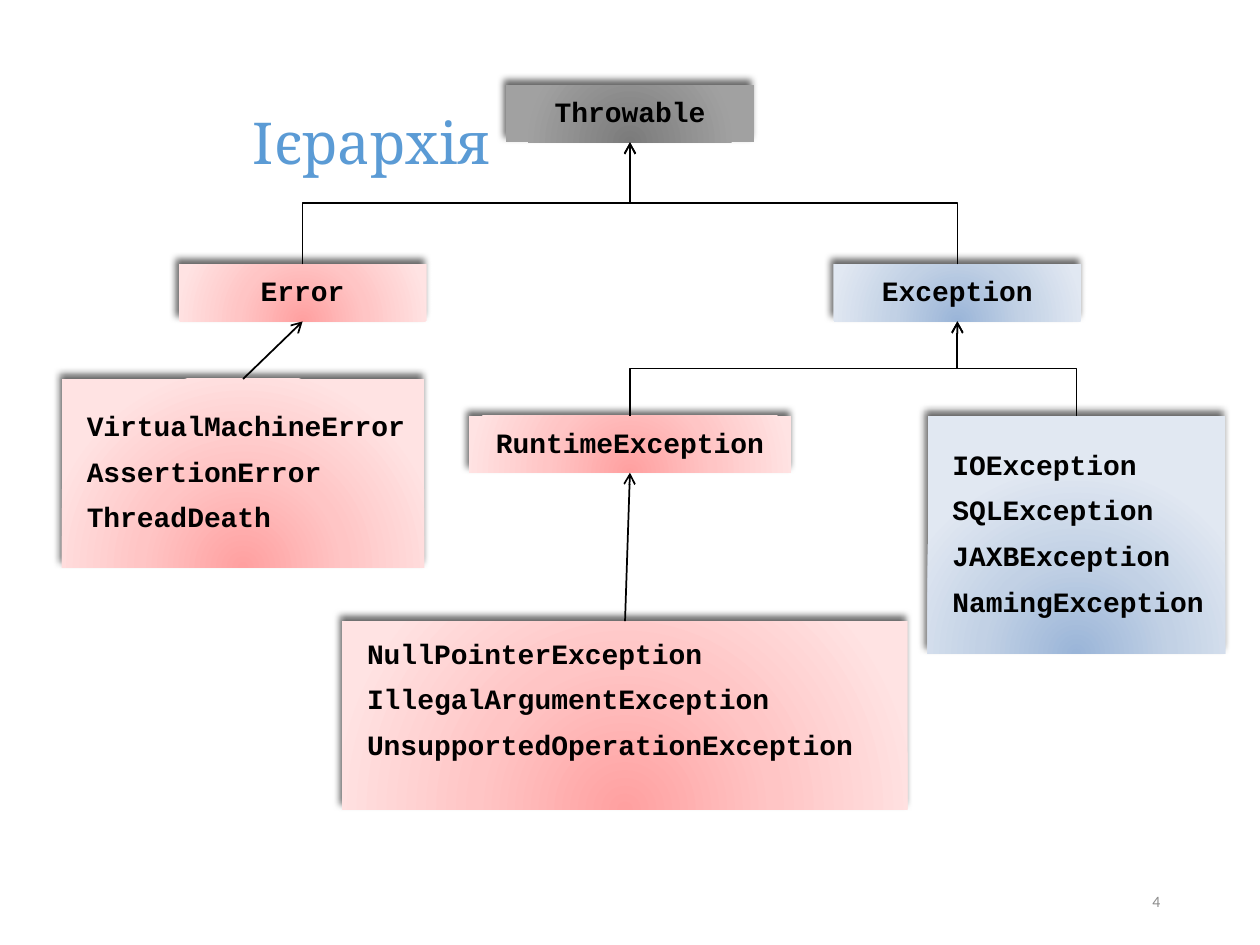
"""Draw the hierarchy of throwable classes as a tree of boxes."""
from dataclasses import dataclass

from lxml import etree
from pptx import Presentation
from pptx import util as u
from pptx.dml import color
from pptx.enum import shapes, text
from pptx.oxml import ns

Cm, Pt = u.Cm, u.Pt
LEFT, CENTER, RIGHT = text.PP_ALIGN.LEFT, text.PP_ALIGN.CENTER, text.PP_ALIGN.RIGHT


@dataclass(frozen=True)
class Theme:
    """Colours, fonts and type sizes of the slide."""
    ink: str = "000000"
    title: str = "5B9BD5"
    number: str = "8C8C8C"
    gray: tuple = ((0, "7B7B7B"), (80, "A0A0A0"), (100, "A1A1A1"))
    red: tuple = ((0, "FFA0A0"), (50, "FFC5C5"), (100, "FFE3E3"))
    blue: tuple = ((0, "9AB5D8"), (50, "C2D1E5"), (100, "E1E8F2"))
    title_font: str = "Cambria"
    number_font: str = "Calibri"
    code_font: str = "Courier New"
    title_size: float = 33
    number_size: float = 9
    code_size: float = 16
    line_width: float = 1


T = Theme()


def add_xml(parent, body):
    """Append a drawing element written as XML."""
    parent.append(etree.fromstring(body.replace(" ", f" {ns.nsdecls('a')} ", 1)))


def style(p, font, size, rgb, bold=False, align=LEFT):
    """Format a paragraph and its runs."""
    p.alignment = align
    for r in p.runs:
        r.font.name, r.font.size, r.font.bold = font, Pt(size), bold
        r.font.color.rgb = color.RGBColor.from_string(rgb)


def add_label(s, words, place, font, size, rgb, align=LEFT):
    """Add one line of text in a box of its own."""
    tf = s.shapes.add_textbox(*map(Cm, place)).text_frame
    tf.word_wrap = True
    tf.vertical_anchor = text.MSO_ANCHOR.MIDDLE
    tf.text = words
    style(tf.paragraphs[0], font, size, rgb, align=align)


def paint(sp, stops):
    """Give a box a glow from its bottom edge and a soft shadow."""
    gs = "".join(f'<a:gs pos="{pos * 1000}"><a:srgbClr val="{rgb}"/></a:gs>'
                 for pos, rgb in stops)
    spPr = sp.element.spPr
    add_xml(spPr, f'<a:gradFill rotWithShape="1"><a:gsLst>{gs}</a:gsLst><a:path path="circle">'
                  '<a:fillToRect l="50000" t="100000" r="50000"/></a:path></a:gradFill>')
    sp.line.fill.background()
    add_xml(spPr, f'<a:effectLst ><a:outerShdw blurRad="{Pt(4.2)}" dist="{Pt(3.2)}" '
                  f'dir="{245 * 60000}" rotWithShape="0"><a:srgbClr val="{T.ink}">'
                  '<a:alpha val="60000"/></a:srgbClr></a:outerShdw></a:effectLst>')


def add_box(s, names, place, stops, align=CENTER, indent=0, bottom=0):
    """Add a shaded box that holds one class name or a list of them."""
    sp = s.shapes.add_shape(shapes.MSO_SHAPE.RECTANGLE, *map(Cm, place))
    paint(sp, stops)
    tf = sp.text_frame
    tf.margin_left, tf.margin_bottom = Cm(indent), Cm(bottom)
    tf.margin_top = tf.margin_right = 0
    tf.word_wrap = True
    tf.vertical_anchor = text.MSO_ANCHOR.MIDDLE
    tf.text = "\n".join(names)
    for i, p in enumerate(tf.paragraphs):
        p.line_spacing = 0.9
        p.space_before = Pt(8.8 if i else 0)
        style(p, T.code_font, T.code_size, T.ink, True, align)
    return sp


def add_list(s, names, place, stops, bottom=0):
    """Add a box with a left-aligned list of class names."""
    return add_box(s, names, place, stops, LEFT, 0.5, bottom)


def add_arrow(s, child, parent, kind=shapes.MSO_CONNECTOR.STRAIGHT):
    """Join the top of a child to the bottom of its parent."""
    c = s.shapes.add_connector(kind, 0, 0, 0, 0)
    c.begin_connect(child, 0)
    c.end_connect(parent, 2)
    c.line.width = Pt(T.line_width)
    c.line.color.rgb = color.RGBColor.from_string(T.ink)
    add_xml(c.element.spPr.find(ns.qn("a:ln")), '<a:tailEnd type="arrow"/>')
    add_xml(c.element.spPr, '<a:effectLst />')
    return c


def add_elbow(s, child, parent):
    """Join a child to its parent by an elbow that leaves upwards."""
    c = add_arrow(s, child, parent, shapes.MSO_CONNECTOR.ELBOW)
    x1, y1, x2, y2 = c.begin_x, c.begin_y, c.end_x, c.end_y
    across, rise = abs(x2 - x1), abs(y2 - y1)
    c.left, c.top = (x1 + x2 - rise) // 2, (y1 + y2 - across) // 2
    c.width, c.height = rise, across
    xfrm = c.element.spPr.find(ns.qn("a:xfrm"))
    rightward = x2 > x1
    xfrm.set("rot", str((90 if rightward else 270) * 60000))
    xfrm.set("flipH", str(int(rightward)))
    xfrm.set("flipV", "1")


def main():
    """Build the slide and save it."""
    prs = Presentation()
    prs.slide_width, prs.slide_height = Cm(25.4), Cm(19.05)
    s = prs.slides.add_slide(prs.slide_layouts[6])

    add_label(s, "4", (16.81, 17.65, 6.83, 1.02), T.number_font, T.number_size, T.number, RIGHT)
    add_label(s, "Ієрархія", (4.85, 1.02, 18.82, 3.68), T.title_font, T.title_size, T.title)

    throwable = add_box(s, ["Throwable"], (10.2, 1.72, 5, 1.15), T.gray)
    error = add_box(s, ["Error"], (3.6, 5.33, 5, 1.15), T.red)
    exception = add_box(s, ["Exception"], (16.8, 5.33, 5, 1.15), T.blue)
    runtime = add_box(s, ["RuntimeException"], (9.45, 8.38, 6.5, 1.15), T.red)
    checked = add_list(s, ["IOException", "SQLException", "JAXBException", "NamingException"],
                       (18.7, 8.38, 6, 4.8), T.blue)
    errors = add_list(s, ["VirtualMachineError", "AssertionError", "ThreadDeath"],
                      (1.25, 7.64, 7.3, 3.8), T.red)
    unchecked = add_list(s, ["NullPointerException", "IllegalArgumentException",
                             "UnsupportedOperationException"],
                         (6.9, 12.52, 11.4, 3.8), T.red, bottom=0.58)

    for child, parent in ((error, throwable), (exception, throwable),
                          (runtime, exception), (checked, exception)):
        add_elbow(s, child, parent)
    for child, parent in ((unchecked, runtime), (errors, error)):
        add_arrow(s, child, parent)
    prs.save("out.pptx")


if __name__ == "__main__":
    main()
